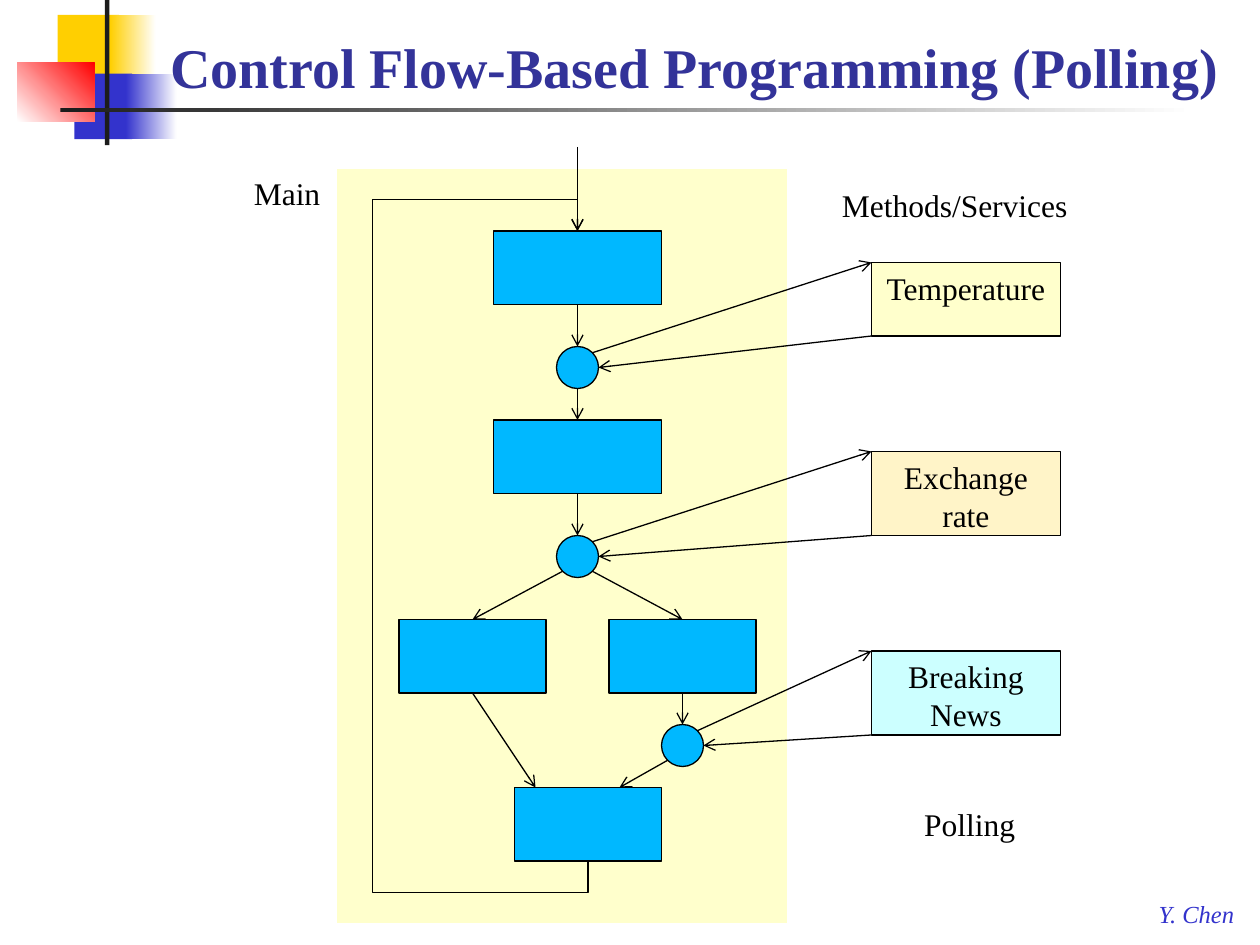
from pptx import Presentation
from pptx.dml.color import RGBColor
from pptx.enum.shapes import MSO_CONNECTOR, MSO_SHAPE
from pptx.enum.text import MSO_ANCHOR, MSO_AUTO_SIZE, PP_ALIGN
from pptx.oxml.ns import qn
from pptx.util import Pt
from lxml import etree

RECT, OVAL = MSO_SHAPE.RECTANGLE, MSO_SHAPE.OVAL
STRAIGHT, ELBOW = MSO_CONNECTOR.STRAIGHT, MSO_CONNECTOR.ELBOW
LEFT, CENTER = PP_ALIGN.LEFT, PP_ALIGN.CENTER
TOP, BOTTOM = MSO_ANCHOR.TOP, MSO_ANCHOR.BOTTOM
FIT, NO_FIT = MSO_AUTO_SIZE.SHAPE_TO_FIT_TEXT, MSO_AUTO_SIZE.NONE

THEME = {
    "font": "Times New Roman", "title_size": 32, "body_size": 18, "author_size": 14, "line_width": 0.75,
    "title": "333399", "black": "000000", "white": "FFFFFF", "dark": "1C1C1C",
    "gold": "FFCF01", "indigo": "3333CC", "red": "FF0000",
    "step": "00B8FF", "cream": "FFFFCC", "sand": "FFF4C8", "aqua": "CCFFFF",
}

TITLE = "Control Flow-Based Programming (Polling)"
DECORATION = [
    ((33, 8.5, 35, 37.5), ("gold",), 0),
    ((63, 8.5, 26, 37.5), ("gold", "white"), 0),
    ((42.5, 42, 33, 37.5), ("indigo",), 0),
    ((72, 42, 29, 37.5), ("indigo", "white"), 0),
    ((10, 36, 44, 33.5), ("white", "red"), 45),
    ((60, 0, 2.5, 83), ("dark",), 0),
    ((34.5, 62, 648, 2.3), ("dark", "white"), 0),
]
PANEL = (192, 96, 258, 432)
LABELS = [
    ("Main", (138, 96, 53, 29), "white"),
    ("Methods/Services", (474, 103, 145, 29), "white"),
    ("Polling", (521, 456.5, 67, 29), None),
]
AUTHOR = ("Y. Chen", (655, 510, 59, 24))

STEP_H, POLL_D, SERVICE_X, SERVICE_W = 42, 24, 498, 108
STEPS = {
    "read": (282, 132, 96), "convert": (282, 240, 96),
    "left": (228, 354, 84), "right": (348, 354, 84), "last": (294, 450, 84),
}
POLLS = {"poll 1": (318, 198), "poll 2": (318, 306), "poll 3": (378, 414)}
SERVICES = [
    ("Temperature", "poll 1", 150, 42, "cream"),
    ("Exchange rate", "poll 2", 258, 48, "sand"),
    ("Breaking News", "poll 3", 372, 48, "aqua"),
]

ANCHORS = {
    "top": (0.5, 0), "bottom": (0.5, 1), "right": (1, 0.5),
    "top left": (0, 0), "bottom left": (0, 1),
    "NE": (0.85, 0.15), "SE": (0.85, 0.85), "SW": (0.15, 0.85),
    "left entry": (1 / 7, 0), "right entry": (5 / 7, 0),
}
SITES = {"top": 0, "bottom": 2}
ENTRY = (330, 84)
FLOWS = [
    ("read", "bottom", "poll 1", "top"), ("poll 1", "bottom", "convert", "top"),
    ("convert", "bottom", "poll 2", "top"),
    ("poll 2", "SW", "left", "top"), ("poll 2", "SE", "right", "top"),
    ("right", "bottom", "poll 3", "top"),
    ("left", "bottom", "last", "left entry"), ("poll 3", "SW", "last", "right entry"),
]
LOOP_DROP, LOOP_X = 18, 213


def color(name):
    return RGBColor.from_string(THEME[name])


def add_shape(kind, box, fill, line=None):
    sp = s.shapes.add_shape(kind, *map(Pt, box))
    sp.shadow.inherit = False
    sp.fill.solid()
    sp.fill.fore_color.rgb = color(fill)
    if line:
        sp.line.color.rgb = color(line)
        sp.line.width = Pt(THEME["line_width"])
    else:
        sp.line.fill.background()
    return sp


def write(sp, text, size="body_size", tint="black", align=LEFT, anchor=TOP, wrap=True, fit=NO_FIT):
    tf = sp.text_frame
    tf.text = text
    tf.word_wrap, tf.auto_size, tf.vertical_anchor = wrap, fit, anchor
    p = tf.paragraphs[0]
    p.alignment = align
    p.font.name, p.font.size = THEME["font"], Pt(THEME[size])
    p.font.color.rgb = color(tint)
    return p


def style_arrow(c):
    c.line.color.rgb = color("black")
    c.line.width = Pt(THEME["line_width"])
    sp_pr = c._element.spPr
    etree.SubElement(sp_pr.find(qn("a:ln")), qn("a:tailEnd"), type="arrow")
    etree.SubElement(sp_pr, qn("a:effectLst"))


def point(name, anchor):
    sp, (fx, fy) = nodes[name], ANCHORS[anchor]
    return int(sp.left + fx * sp.width), int(sp.top + fy * sp.height)


def join(connect, name, anchor):
    if name not in POLLS and anchor in SITES:
        connect(nodes[name], SITES[anchor])


def add_flow(a, a_anchor, b, b_anchor):
    c = s.shapes.add_connector(STRAIGHT, *point(a, a_anchor), *point(b, b_anchor))
    join(c.begin_connect, a, a_anchor)
    join(c.end_connect, b, b_anchor)
    style_arrow(c)


def add_loop():
    (x1, y1), (x2, y2) = point("last", "bottom"), point("read", "top")
    cx, cy, half_w, half_h = (x1 + x2) // 2, (y1 + y2) // 2, (y1 - y2) // 2, (x1 - x2) // 2
    c = s.shapes.add_connector(ELBOW, cx + half_w, cy - half_h, cx - half_w, cy + half_h)
    c._element.spPr.find(qn("a:xfrm")).set("rot", "5400000")
    geom = c._element.spPr.find(qn("a:prstGeom"))
    geom.set("prst", "bentConnector5")
    drop = Pt(LOOP_DROP) / (y1 - y2)
    for i, adj in enumerate((-drop, (x1 - Pt(LOOP_X)) / (x1 - x2), 1 + drop), 1):
        etree.SubElement(geom.find(qn("a:avLst")), qn("a:gd"), name=f"adj{i}", fmla=f"val {round(adj * 100000)}")
    style_arrow(c)


prs = Presentation()
prs.slide_width, prs.slide_height = Pt(720), Pt(540)
s = prs.slides.add_slide(prs.slide_layouts[5])

for box, tints, angle in DECORATION:
    sp = add_shape(RECT, box, tints[0])
    if len(tints) > 1:
        sp.fill.gradient()
        sp.fill.gradient_angle = angle
        for stop, tint in zip(sp.fill.gradient_stops, tints):
            stop.color.rgb = color(tint)

title = s.shapes.title
title.left, title.top, title.width, title.height = map(Pt, (90, 16, 618, 44.5))
write(title, TITLE, "title_size", "title", anchor=BOTTOM).font.bold = True
s.shapes._spTree.append(title._element)

add_shape(RECT, PANEL, "cream", "white")
for text, box, fill in LABELS:
    sp = add_shape(RECT, box, fill) if fill else s.shapes.add_textbox(*map(Pt, box))
    write(sp, text, wrap=False, fit=FIT)
text, box = AUTHOR
write(s.shapes.add_textbox(*map(Pt, box)), text, "author_size", "indigo", wrap=False, fit=FIT).font.italic = True

nodes = {}
for name, (x, y, w) in STEPS.items():
    nodes[name] = add_shape(RECT, (x, y, w, STEP_H), "step", "black")
for name, (x, y) in POLLS.items():
    nodes[name] = add_shape(OVAL, (x, y, POLL_D, POLL_D), "step", "black")
for name, poll, y, h, fill in SERVICES:
    nodes[name] = add_shape(RECT, (SERVICE_X, y, SERVICE_W, h), fill, "black")
    write(nodes[name], name, align=CENTER)
    add_flow(poll, "NE", name, "top left")
    add_flow(name, "bottom left", poll, "right")

for flow in FLOWS:
    add_flow(*flow)
entry = s.shapes.add_connector(STRAIGHT, *map(Pt, ENTRY), *point("read", "top"))
entry.end_connect(nodes["read"], SITES["top"])
style_arrow(entry)
add_loop()

prs.save("out.pptx")
